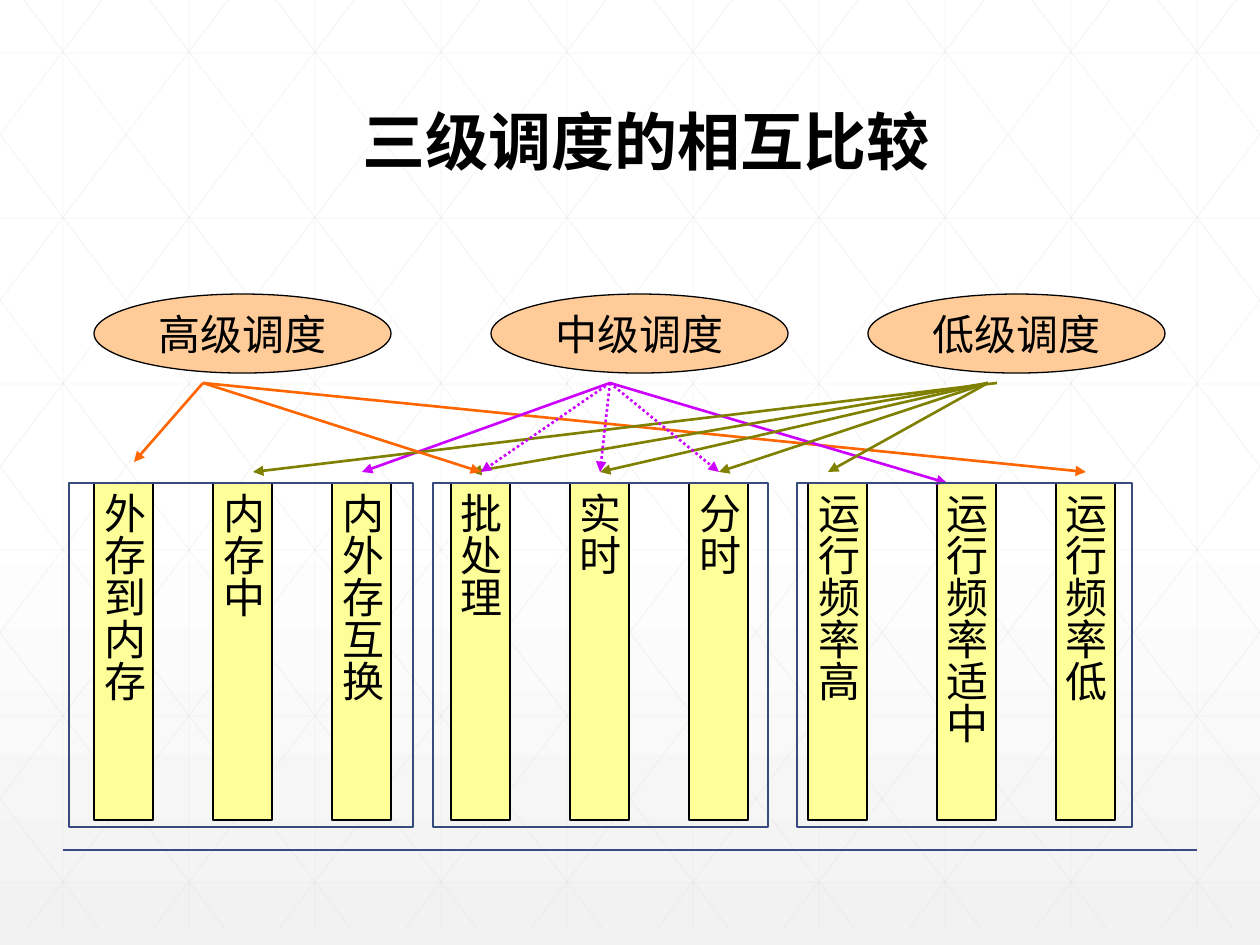
from dataclasses import dataclass

from lxml import etree
from pptx import Presentation
from pptx.dml.color import RGBColor
from pptx.enum.dml import MSO_LINE
from pptx.enum.shapes import MSO_CONNECTOR, MSO_SHAPE
from pptx.enum.text import MSO_ANCHOR, PP_ALIGN
from pptx.oxml.ns import qn
from pptx.util import Emu, Pt

PX = 914400 // 126
W, H = 1260, 945
STRAIGHT = MSO_CONNECTOR.STRAIGHT
OVAL, RECT = MSO_SHAPE.OVAL, MSO_SHAPE.RECTANGLE
MIDDLE = MSO_ANCHOR.MIDDLE
LEFT, CENTER = PP_ALIGN.LEFT, PP_ALIGN.CENTER
DOTTED = MSO_LINE.ROUND_DOT


@dataclass(frozen=True)
class Theme:
    font: str = "Noto Sans CJK SC"
    title_size: int = 36
    body_size: int = 24
    black: str = "000000"
    bg_top: str = "FFFFFF"
    bg_bottom: str = "F2F2F2"
    grid: str = "D9D9D9"
    rule: str = "384C81"
    frame: str = "374B7F"
    level: str = "FFCC99"
    bar: str = "FFFF99"
    high: str = "FF6600"
    mid: str = "CC00FF"
    low: str = "808000"


@dataclass(frozen=True)
class Box:
    x: int
    y: int
    w: int
    h: int

    def emu(self) -> list[Emu]:
        return [Emu(v * PX) for v in (self.x, self.y, self.w, self.h)]


@dataclass(frozen=True)
class Arrow:
    x1: int
    x2: int
    color: str
    y2: int = 472
    dotted: bool = False


T = Theme()
ARROW_TOP = 383
BAR_TOP = 483
LEVELS = {"高级调度": 94, "中级调度": 491, "低级调度": 868}
BARS = ["外存到内存", "内存中", "内外存互换", "批处理", "实时", "分时",
        "运行频率高", "运行频率适中", "运行频率低"]
FRAMES = [Box(69, BAR_TOP, 344, 344), Box(433, BAR_TOP, 335, 344),
          Box(797, BAR_TOP, 335, 344)]
HIGH_X, MID_X, LOW_X = 203, 610, 988
ARROWS = [
    Arrow(HIGH_X, 134, T.high, y2=462),
    Arrow(HIGH_X, 1086, T.high),
    Arrow(MID_X, 362, T.mid),
    Arrow(MID_X, 947, T.mid, y2=BAR_TOP),
    Arrow(997, 253, T.low),
    *(Arrow(LOW_X, x, T.low) for x in (828, 719, 600, 471)),
    *(Arrow(MID_X, x, T.mid, dotted=True) for x in (481, 600, 719)),
    Arrow(HIGH_X, 481, T.high),
]


def add_line(shapes, x1: float, y1: float, x2: float, y2: float, color: str,
             width: float, alpha: int = 100, dash=None, arrow: bool = False) -> None:
    ends = [Emu(round(v * PX)) for v in (x1, y1, x2, y2)]
    sp = shapes.add_connector(STRAIGHT, *ends)
    sp.line.color.rgb = RGBColor.from_string(color)
    sp.line.width = Pt(width)
    if dash is not None:
        sp.line.dash_style = dash
    spPr = sp._element.spPr
    ln = spPr.find(qn("a:ln"))
    if alpha < 100:
        etree.SubElement(ln.find(".//" + qn("a:srgbClr")), qn("a:alpha"),
                         val=str(alpha * 1000))
    if arrow:
        etree.SubElement(ln, qn("a:tailEnd"), type="triangle")
    etree.SubElement(spPr, qn("a:effectLst"))


def add_box(shapes, kind, box: Box, line: str, width: float, fill: str = ""):
    sp = shapes.add_shape(kind, *box.emu())
    sp.shadow.inherit = False
    if fill:
        sp.fill.solid()
        sp.fill.fore_color.rgb = RGBColor.from_string(fill)
    else:
        sp.fill.background()
    sp.line.color.rgb = RGBColor.from_string(line)
    sp.line.width = Pt(width)
    return sp


def set_text(sp, text: str, *, size: int, align, bold: bool = False,
             wrap: bool = False, vertical: bool = False,
             margin_x: int = 0, margin_top: int = 0) -> None:
    tf = sp.text_frame
    tf.word_wrap = wrap
    tf.vertical_anchor = MIDDLE
    tf.margin_left = tf.margin_right = Emu(margin_x * PX)
    tf.margin_top, tf.margin_bottom = Emu(margin_top * PX), 0
    if vertical:
        tf._txBody.bodyPr.set("vert", "eaVert")
    p = tf.paragraphs[0]
    p.alignment = align
    r = p.add_run()
    r.text = text
    r.font.name = T.font
    r.font.size = Pt(size)
    r.font.bold = bold
    r.font.color.rgb = RGBColor.from_string(T.black)
    etree.SubElement(r._r.get_or_add_rPr(), qn("a:ea"), typeface=T.font)


def draw_background(s) -> None:
    fill = s.background.fill
    fill.gradient()
    fill.gradient_angle = 270
    stops = zip(fill.gradient_stops, (0.53, 1), (T.bg_top, T.bg_bottom))
    for stop, position, color in stops:
        stop.position = position
        stop.color.rgb = RGBColor.from_string(color)


def draw_grid(shapes) -> None:
    """Draw the faint triangular lattice, clipped to the slide's sides."""
    bottom, run, step = 929, 705, 126
    slope = bottom / run
    lines = [(x, 0, x, bottom) for x in range(63, W, step)]
    lines += [(0, y, W, y) for y in (53 + 829 * i // 5 for i in range(6))]
    for i in range(-5, 10):
        top_x = 24 + step * i
        x1, x2 = max(top_x, 0), min(top_x + run, W)
        y1, y2 = (x1 - top_x) * slope, (x2 - top_x) * slope
        lines += [(x1, y1, x2, y2), (W - x1, y1, W - x2, y2)]
    for line in lines:
        add_line(shapes, *line, T.grid, 0.5, alpha=25)


def main() -> None:
    prs = Presentation()
    prs.slide_width, prs.slide_height = Emu(W * PX), Emu(H * PX)
    s = prs.slides.add_slide(prs.slide_layouts[6])
    shapes = s.shapes

    draw_background(s)
    draw_grid(shapes)
    add_line(shapes, 63, 850, W - 63, 850, T.rule, 1)

    title = shapes.add_textbox(*Box(350, 96, 629, 89).emu())
    set_text(title, "三级调度的相互比较", size=T.title_size, align=LEFT,
             bold=True, wrap=True, margin_x=13)

    for name, x in LEVELS.items():
        sp = add_box(shapes, OVAL, Box(x, 294, 297, 79), T.black, 0.75, T.level)
        set_text(sp, name, size=T.body_size, align=CENTER)

    for i, name in enumerate(BARS):
        x = 94 + 119 * i + (10 if i > 6 else 0)
        sp = add_box(shapes, RECT, Box(x, BAR_TOP, 59, 337), T.black, 0.75, T.bar)
        set_text(sp, name, size=T.body_size, align=LEFT, wrap=True,
                 vertical=True, margin_top=10)

    for a in ARROWS:
        add_line(shapes, a.x1, ARROW_TOP, a.x2, a.y2, a.color, 1.5,
                 dash=DOTTED if a.dotted else None, arrow=True)

    for frame in FRAMES:
        add_box(shapes, RECT, frame, T.frame, 1)

    prs.save("out.pptx")


if __name__ == "__main__":
    main()
